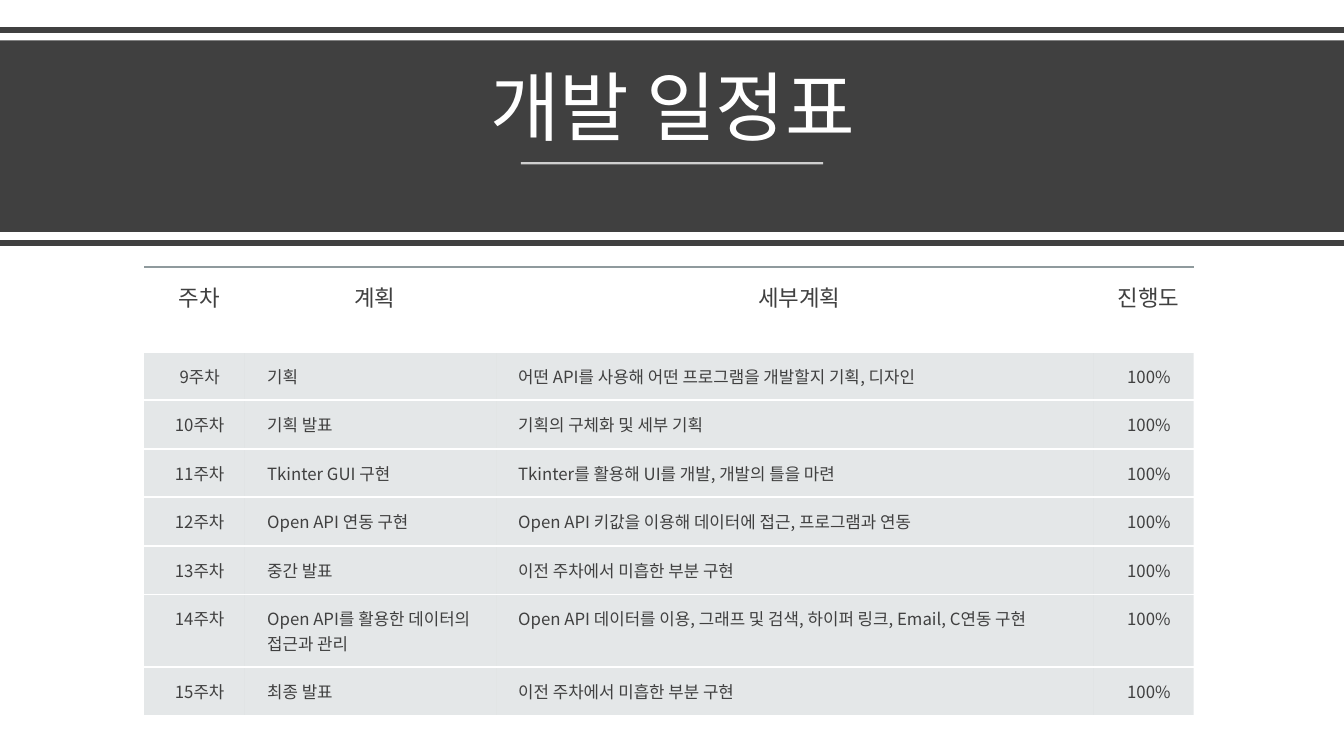
from lxml.etree import SubElement
from pptx import Presentation
from pptx.dml.color import RGBColor
from pptx.enum.shapes import MSO_CONNECTOR, MSO_SHAPE
from pptx.enum.text import MSO_ANCHOR, MSO_AUTO_SIZE, PP_ALIGN
from pptx.oxml.ns import qn
from pptx.util import Inches, Pt

FONT = "Noto Sans CJK KR"
COLORS = {"dark": "404040", "white": "FFFFFF", "rule": "8F9A9D", "row": "B4BCBE"}
HEADINGS = ["주차", "계획", "세부계획", "진행도"]
SCHEDULE = [
    ("9주차", "기획", "어떤 API를 사용해 어떤 프로그램을 개발할지 기획, 디자인", "100%"),
    ("10주차", "기획 발표", "기획의 구체화 및 세부 기획", "100%"),
    ("11주차", "Tkinter GUI 구현", "Tkinter를 활용해 UI를 개발, 개발의 틀을 마련", "100%"),
    ("12주차", "Open API 연동 구현", "Open API 키값을 이용해 데이터에 접근, 프로그램과 연동", "100%"),
    ("13주차", "중간 발표", "이전 주차에서 미흡한 부분 구현", "100%"),
    ("14주차", "Open API를 활용한 데이터의 접근과 관리",
     "Open API 데이터를 이용, 그래프 및 검색, 하이퍼 링크, Email, C연동 구현", "100%"),
    ("15주차", "최종 발표", "이전 주차에서 미흡한 부분 구현", "100%"),
]
COLUMN_WIDTHS = [1, 2.49, 5.93, 0.99]
ROW_HEIGHTS = [0.84, 0.48, 0.48, 0.48, 0.48, 0.48, 0.68, 0.48]
ALIGNMENTS = [PP_ALIGN.CENTER, PP_ALIGN.LEFT, PP_ALIGN.LEFT, PP_ALIGN.CENTER]


def rgb(name):
    return RGBColor.from_string(COLORS[name])


def set_alpha(parent, percent):
    color = parent.find(".//" + qn("a:srgbClr"))
    SubElement(color, qn("a:alpha"), val=str(percent * 1000))


def style_text(p, size, color, align):
    p.alignment = align
    p.font.name = FONT
    p.font.size = Pt(size)
    p.font.color.rgb = rgb(color)
    SubElement(p.font._element, qn("a:ea"), typeface=FONT)


def add_rule(s, left, top, width, color, weight, alpha=100):
    line = s.shapes.add_connector(MSO_CONNECTOR.STRAIGHT, Inches(left), Inches(top),
                                  Inches(left + width), Inches(top))
    line.line.color.rgb = rgb(color)
    line.line.width = Pt(weight)
    set_alpha(line.line._ln, alpha)
    SubElement(line._element.spPr, qn("a:effectLst"))


def add_title_band(s, left, top, width, height):
    add_rule(s, left, top, width, "dark", 4)
    band = s.shapes.add_shape(MSO_SHAPE.RECTANGLE, Inches(left), Inches(top + 0.1),
                              Inches(width), Inches(height - 0.21))
    band.shadow.inherit = False
    band.fill.solid()
    band.fill.fore_color.rgb = rgb("dark")
    band.line.fill.background()

    title = s.shapes.title
    title.left, title.top = Inches(left + 0.58), Inches(top + 0.24)
    title.width, title.height = Inches(width - 1.15), Inches(1.02)
    tf = title.text_frame
    tf.text = "개발 일정표"
    tf.auto_size = MSO_AUTO_SIZE.NONE
    tf.vertical_anchor = MSO_ANCHOR.BOTTOM
    p = tf.paragraphs[0]
    p.line_spacing = 0.9
    style_text(p, 54, "white", PP_ALIGN.CENTER)
    band._element.addnext(title._element)

    add_rule(s, left + (width - 3) / 2, top + 1.32, 3, "white", 1.5, 75)
    add_rule(s, left, top + height, width, "dark", 4)


def set_border(cell, side, color=None, alpha=100):
    ln = SubElement(cell._tc.get_or_add_tcPr(), qn("a:ln" + side), w=str(Pt(1.5)))
    if color is None:
        SubElement(ln, qn("a:noFill"))
        return
    fill = SubElement(ln, qn("a:solidFill"))
    SubElement(fill, qn("a:srgbClr"), val=COLORS[color])
    set_alpha(ln, alpha)


def format_cell(cell, text, align, is_heading):
    padding = Inches(0.13 if is_heading else 0.12)
    cell.margin_left = Inches(0.22)
    cell.margin_right = cell.margin_top = cell.margin_bottom = padding
    cell.text = text
    style_text(cell.text_frame.paragraphs[0], 16 if is_heading else 12, "dark", align)
    set_border(cell, "L")
    set_border(cell, "R")
    if is_heading:
        set_border(cell, "T", "rule", 60)
    else:
        set_border(cell, "T", "white")
    set_border(cell, "B", "white")
    if is_heading:
        cell.fill.background()
    else:
        cell.fill.solid()
        cell.fill.fore_color.rgb = rgb("row")
        set_alpha(cell._tc.tcPr.find(qn("a:solidFill")), 35)


def add_schedule(s, left, top, width, height):
    rows = [HEADINGS, *SCHEDULE]
    table = s.shapes.add_table(len(rows), len(HEADINGS), Inches(left), Inches(top),
                               Inches(width), Inches(height)).table
    table.first_row = table.horz_banding = False
    for column, column_width in zip(table.columns, COLUMN_WIDTHS):
        column.width = Inches(column_width)
    for r, (texts, row_height) in enumerate(zip(rows, ROW_HEIGHTS)):
        table.rows[r].height = Inches(row_height)
        for c, text in enumerate(texts):
            align = PP_ALIGN.CENTER if r == 0 else ALIGNMENTS[c]
            format_cell(table.cell(r, c), text, align, r == 0)


def main():
    prs = Presentation()
    prs.slide_width, prs.slide_height = Inches(13.33), Inches(7.5)
    s = prs.slides.add_slide(prs.slide_layouts[5])
    add_title_band(s, 0, 0.3, 13.33, 2.11)
    add_schedule(s, 1.43, 2.65, sum(COLUMN_WIDTHS), sum(ROW_HEIGHTS))
    prs.save("out.pptx")


if __name__ == "__main__":
    main()
